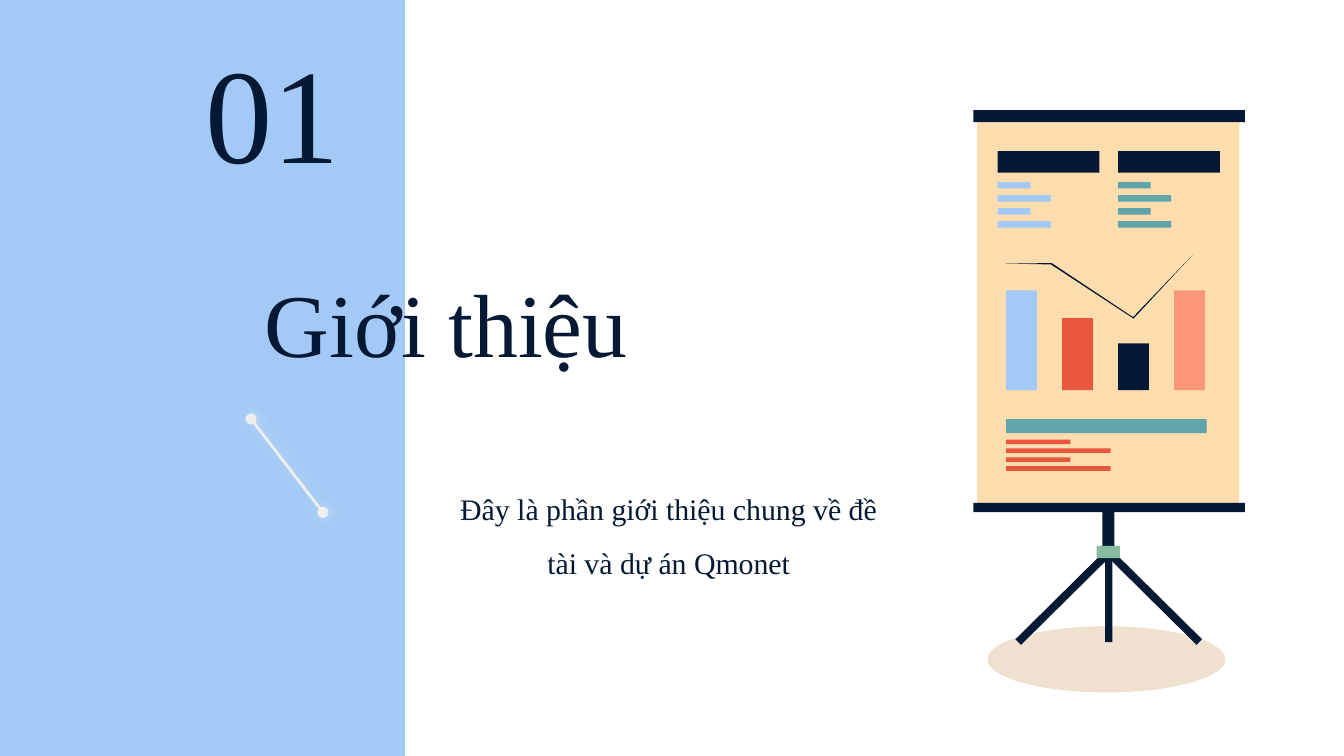
from dataclasses import dataclass

from lxml.etree import SubElement as Sub
from pptx import Presentation
from pptx.dml.color import RGBColor as RGB
from pptx.enum.shapes import MSO_CONNECTOR as Conn, MSO_SHAPE as Kind
from pptx.enum.text import MSO_ANCHOR as Anchor, MSO_AUTO_SIZE as Fit, PP_ALIGN as Align
from pptx.oxml.ns import qn
from pptx.util import Pt


@dataclass(frozen=True)
class Theme:
    font: str = "Times New Roman"
    navy: str = "051934"
    blue: str = "A3CAF7"
    teal: str = "5FA4AB"
    red: str = "EB573D"
    pink: str = "FA9778"
    cream: str = "FDDCAE"
    green: str = "85BCA2"
    brown: str = "B45F06"
    pale: str = "EEEEEE"
    number: int = 72
    title: int = 48
    body: int = 16


THEME = Theme()


def paint(shape, color):
    shape.shadow.inherit = False
    shape.fill.solid()
    shape.fill.fore_color.rgb = RGB.from_string(color)
    shape.line.fill.background()
    return shape


def block(slide, box, color, kind=Kind.RECTANGLE):
    return paint(slide.shapes.add_shape(kind, *map(Pt, box)), color)


def outline(slide, points, color):
    first, *rest = [(Pt(x), Pt(y)) for x, y in points]
    pen = slide.shapes.build_freeform(*first)
    pen.add_line_segments(rest, close=True)
    return paint(pen.convert_to_shape(), color)


def write(shape, box, text, size, anchor, align=Align.LEFT, space=1.0):
    shape.left, shape.top, shape.width, shape.height = map(Pt, box)
    frame = shape.text_frame
    frame.text = text
    frame.word_wrap = True
    frame.auto_size = Fit.NONE
    frame.vertical_anchor = anchor
    frame.margin_left = frame.margin_right = Pt(7.2)
    frame.margin_top = frame.margin_bottom = Pt(7.2)
    para = frame.paragraphs[0]
    para.alignment = align
    para.line_spacing = space
    para.space_before = Pt(0)
    font = para.runs[0].font
    font.name, font.size = THEME.font, Pt(size)
    font.color.rgb = RGB.from_string(THEME.navy)


def stack(slide, left, top, step, height, widths, color):
    """Four short text bars, alternating between two widths."""
    for i in range(4):
        block(slide, (left, top + i * step, widths[i % 2], height), color)


def rod(slide, start, end):
    """Line with round ends and a soft glow."""
    line = slide.shapes.add_connector(Conn.STRAIGHT, *map(Pt, start + end))
    line.line.width = Pt(1.5)
    line.line.color.rgb = RGB.from_string(THEME.pale)
    stroke = line.line._get_or_add_ln()
    for tag in ("a:headEnd", "a:tailEnd"):
        Sub(stroke, qn(tag), type="oval")
    effects = Sub(line._element.spPr, qn("a:effectLst"))
    glow = Sub(effects, qn("a:outerShdw"), blurRad=str(Pt(6.8)),
               dist=str(Pt(1.5)), dir="0", algn="bl", rotWithShape="0")
    color = Sub(glow, qn("a:srgbClr"), val=THEME.pale)
    Sub(color, qn("a:alpha"), val="50000")


def stand(slide):
    # Tripod: the right leg mirrors the left one
    mid = 594
    leg = [(592.5, 294.5), (544, 342.5), (547, 345.5), (595.5, 297.5)]
    outline(slide, leg, THEME.navy)
    outline(slide, [(2 * mid - x, y) for x, y in leg], THEME.navy)
    block(slide, (592, 288.5, 4, 55.5), THEME.navy)
    block(slide, (590.5, 269.5, 6.5, 29.5), THEME.navy)
    block(slide, (587.5, 292.5, 12.5, 6.5), THEME.green)


def board(slide):
    # Sheet with its two rails
    block(slide, (523.5, 65.5, 140.5, 204), THEME.cream)
    for top, height in ((269.5, 5), (59, 6.5)):
        block(slide, (521.5, top, 145.5, height), THEME.navy)

    # Two headed columns
    for left, color in ((534.5, THEME.blue), (599, THEME.teal)):
        block(slide, (left, 81, 54.5, 11.5), THEME.navy)
        stack(slide, left, 97.5, 7, 3.5, (17.5, 28.5), color)

    # Footer band and lines
    block(slide, (539, 224.5, 107.5, 7.5), THEME.teal)
    stack(slide, 539, 235.5, 4.75, 2.5, (34.5, 56), THEME.red)

    # Drawn columns on a common base, with a tapering trend line
    bars = ((53.5, THEME.blue), (38.5, THEME.red),
            (25, THEME.navy), (53.5, THEME.pink))
    for i, (height, color) in enumerate(bars):
        block(slide, (539 + 30 * i, 209 - height, 16.5, height), color)
    trend = [(639, 136.5), (607, 169.9), (563.5, 141), (539, 141.2),
             (563, 141.7), (607.3, 170.7)]
    outline(slide, trend, THEME.navy)


def main():
    deck = Presentation()
    deck.slide_width, deck.slide_height = Pt(720), Pt(405)
    slide = deck.slides.add_slide(deck.slide_layouts[0])

    # Side panel, behind everything
    panel = block(slide, (-1.5, -1.5, 218.5, 407), THEME.blue)
    slide.shapes._spTree.insert(2, panel._element)

    # Floor under the stand
    floor = block(slide, (529, 335.5, 127.5, 35.5), THEME.brown, Kind.OVAL)
    tint = floor._element.spPr.find(qn("a:solidFill"))[0]
    Sub(tint, qn("a:alpha"), val="19000")

    # Texts
    write(slide.shapes.title, (134.5, 144.5, 305.5, 66), "Giới thiệu",
          THEME.title, Anchor.MIDDLE, space=0.8)
    number = slide.shapes.add_textbox(0, 0, 0, 0)
    write(number, (103, 47, 198, 62), "01", THEME.number, Anchor.BOTTOM)
    write(slide.placeholders[1], (237, 246, 242.5, 66),
          "Đây là phần giới thiệu chung về đề tài và dự án Qmonet",
          THEME.body, Anchor.TOP, Align.CENTER, 1.5)

    # Illustration and accent
    stand(slide)
    board(slide)
    rod(slide, (134.5, 224.5), (173, 274.5))

    deck.save("out.pptx")


if __name__ == "__main__":
    main()
